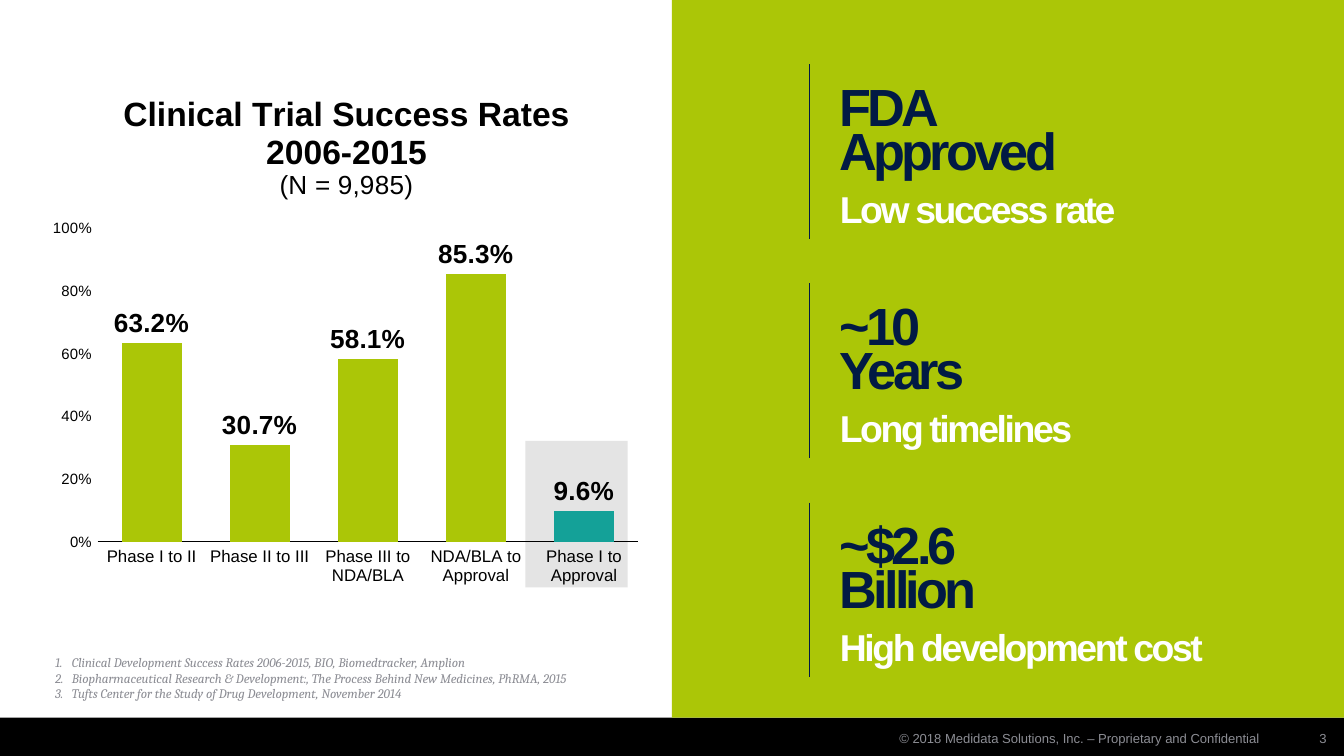
from lxml import etree
from pptx import Presentation
from pptx import util as u
from pptx.chart.data import CategoryChartData
from pptx.dml.color import RGBColor
from pptx.enum import chart as ch, shapes, text
from pptx.oxml import parse_xml
from pptx.oxml.ns import nsdecls, qn

LIME = RGBColor(0xAB, 0xC6, 0x07)
TEAL = RGBColor(0x14, 0xA1, 0x98)
NAVY = RGBColor(0x01, 0x1A, 0x44)
GREY = RGBColor(0x8C, 0x8D, 0x94)
PALE = RGBColor(0xD9, 0xD9, 0xD9)
BLACK = RGBColor(0, 0, 0)
WHITE = RGBColor(255, 255, 255)

TITLE = [("Clinical Trial Success Rates 2006-2015", 18, True),
         ("(N = 9,985)", 14, False)]
RATES = [("Phase I to II", 0.632), ("Phase II to III", 0.307),
         ("Phase III to NDA/BLA", 0.581), ("NDA/BLA to Approval", 0.853),
         ("Phase I to Approval", 0.096)]
FACTS = [(["FDA", "Approved"], "Low success rate"),
         (["~10", "Years"], "Long timelines"),
         (["~$2.6", "Billion"], "High development cost")]
REFS = ["Clinical Development Success Rates 2006-2015, BIO, Biomedtracker, Amplion",
        "Biopharmaceutical Research & Development:, The Process Behind New Medicines, PhRMA, 2015",
        "Tufts Center for the Study of Drug Development, November 2014"]
FOOTER = [("© 2018 Medidata Solutions, Inc. – Proprietary and Confidential", 377.3, 297.3, 0),
          ("3", 691.2, 26.6, 7.2)]

WIDE, HIGH, BAR = 720, 405, 384.5


def box(*nums):
    return [u.Pt(n) for n in nums]


def style(font, size, color, bold=False, name="Arial"):
    font.size, font.bold, font.name = u.Pt(size), bold, name
    font.color.rgb = color


def block(home, color, *area):
    rect = home.add_shape(shapes.MSO_SHAPE.RECTANGLE, *box(*area))
    rect.fill.solid()
    rect.fill.fore_color.rgb = color
    rect.line.fill.background()
    rect.shadow.inherit = False
    return rect


def label(home, lines, area, size, color, bold=False, gap=1.0, track=0):
    frame = home.add_textbox(*box(*area)).text_frame
    frame.word_wrap = True
    frame.text = "\n".join(lines)
    for para in frame.paragraphs:
        style(para.font, size, color, bold)
        para.line_spacing = gap
        if track:
            for run in para.runs:
                run.font._element.set("spc", str(track))
    return frame


def clear():
    return parse_xml(f'<c:spPr {nsdecls("c", "a")}><a:noFill/><a:ln><a:noFill/></a:ln></c:spPr>')


def draw_chart(home):
    data = CategoryChartData(number_format="0.0%")
    data.categories = [name for name, _ in RATES]
    data.add_series("Series 1", [rate for _, rate in RATES])
    chart = home.add_chart(ch.XL_CHART_TYPE.COLUMN_CLUSTERED,
                           *box(23, 38.2, 325.4, 280), data).chart
    style(chart.font, 10, BLACK, True)
    chart.has_legend = False
    chart.has_title = True
    head = chart.chart_title.text_frame
    head.text = "\n".join(line for line, _, _ in TITLE)
    for para, (_, size, bold) in zip(head.paragraphs, TITLE):
        style(para.font, size, BLACK, bold)
    chart.chart_title.include_in_layout = False

    cat, val = chart.category_axis, chart.value_axis
    for axis, size in ((cat, 9), (val, 8)):
        style(axis.tick_labels.font, size, BLACK)
        axis.major_tick_mark = axis.minor_tick_mark = ch.XL_TICK_MARK.NONE
        axis.has_major_gridlines = False
    cat.format.line.color.rgb = BLACK
    cat.format.line.width = u.Pt(0.5)
    val.format.line.fill.background()
    val.minimum_scale, val.maximum_scale, val.major_unit = 0, 1, 0.2
    val.tick_labels.number_format = "0%"
    val.tick_labels.number_format_is_linked = False

    plot = chart.plots[0]
    plot.gap_width, plot.overlap, plot.vary_by_categories = 80, -27, False
    bars = plot.series[0]
    final = bars.points[len(RATES) - 1]
    for part, color in ((bars, LIME), (final, TEAL)):
        part.format.fill.solid()
        part.format.fill.fore_color.rgb = color
    tags = bars.data_labels
    tags.show_value = True
    tags.number_format, tags.number_format_is_linked = "0.0%", False
    tags.position = ch.XL_LABEL_POSITION.OUTSIDE_END
    style(tags.font, 14, BLACK, True)

    root = chart._chartSpace
    root.find(qn("c:chart")).addnext(clear())
    area = root.find(".//" + qn("c:plotArea"))
    area.append(clear())
    for old in area.findall(qn("c:layout")):
        area.remove(old)
    modes = [("layoutTarget", "inner"), ("xMode", "edge"), ("yMode", "edge"),
             ("x", 0.09), ("y", 0.3), ("w", 0.89), ("h", 0.6)]
    inner = "".join(f'<c:{key} val="{value}"/>' for key, value in modes)
    area.insert(0, parse_xml(f'<c:layout {nsdecls("c")}><c:manualLayout>{inner}'
                             '</c:manualLayout></c:layout>'))


def draw_refs(body):
    body.left, body.top, body.width, body.height = box(22.3, 356.4, 648, 23)
    frame = body.text_frame
    frame.text = "\n".join(REFS)
    frame.auto_size = text.MSO_AUTO_SIZE.NONE
    frame.vertical_anchor = text.MSO_ANCHOR.BOTTOM
    for para in frame.paragraphs:
        props = para._p.get_or_add_pPr()
        props.set("marL", str(u.Pt(9)))
        props.set("indent", str(-u.Pt(9)))
        etree.SubElement(props, qn("a:buFont"), typeface="+mj-lt")
        etree.SubElement(props, qn("a:buAutoNum"), type="arabicPeriod")
        para.space_before = u.Pt(0)
        style(para.font, 7, GREY, name="Cambria")
        para.font.italic = True


def draw_fact(home, top, big, small):
    label(home, big, (442.8, top + 10.8, 263.5, 55.4), 28, NAVY, True, 0.7, -200)
    label(home, [small], (442.8, top + 66.4, 242, 26.6), 20, WHITE, True, 0.8, -130)
    rule = home.add_connector(shapes.MSO_CONNECTOR.STRAIGHT,
                              *box(433.4, top, 433.4, top + 93.6))
    rule.line.color.rgb = NAVY
    rule.line.width = u.Pt(0.25)
    etree.SubElement(rule._element.spPr, qn("a:effectLst"))


def main():
    deck = Presentation()
    deck.slide_width, deck.slide_height = box(WIDE, HIGH)
    slide = deck.slides.add_slide(deck.slide_layouts[1])
    home = slide.shapes
    title, body = slide.placeholders
    title._element.getparent().remove(title._element)

    block(home, BLACK, 0, BAR, WIDE, HIGH - BAR)
    for line, left, width, pad in FOOTER:
        frame = label(home, [line], (left, BAR, width, 21.6), 7, GREY)
        frame.margin_left = frame.margin_right = u.Pt(pad)
        frame.vertical_anchor = text.MSO_ANCHOR.MIDDLE
        frame.paragraphs[0].alignment = text.PP_ALIGN.RIGHT

    shade = block(home, PALE, 281.5, 236.2, 54.7, 78.5)
    tint = shade._element.spPr.find(".//" + qn("a:srgbClr"))
    etree.SubElement(tint, qn("a:alpha"), val="70000")
    draw_chart(home)
    block(home, LIME, WIDE / 2, 0, WIDE / 2, BAR)
    draw_refs(body)
    for row, (big, small) in enumerate(FACTS):
        draw_fact(home.add_group_shape().shapes, 34.5 + row * 117.4, big, small)
    deck.save("out.pptx")


if __name__ == "__main__":
    main()
